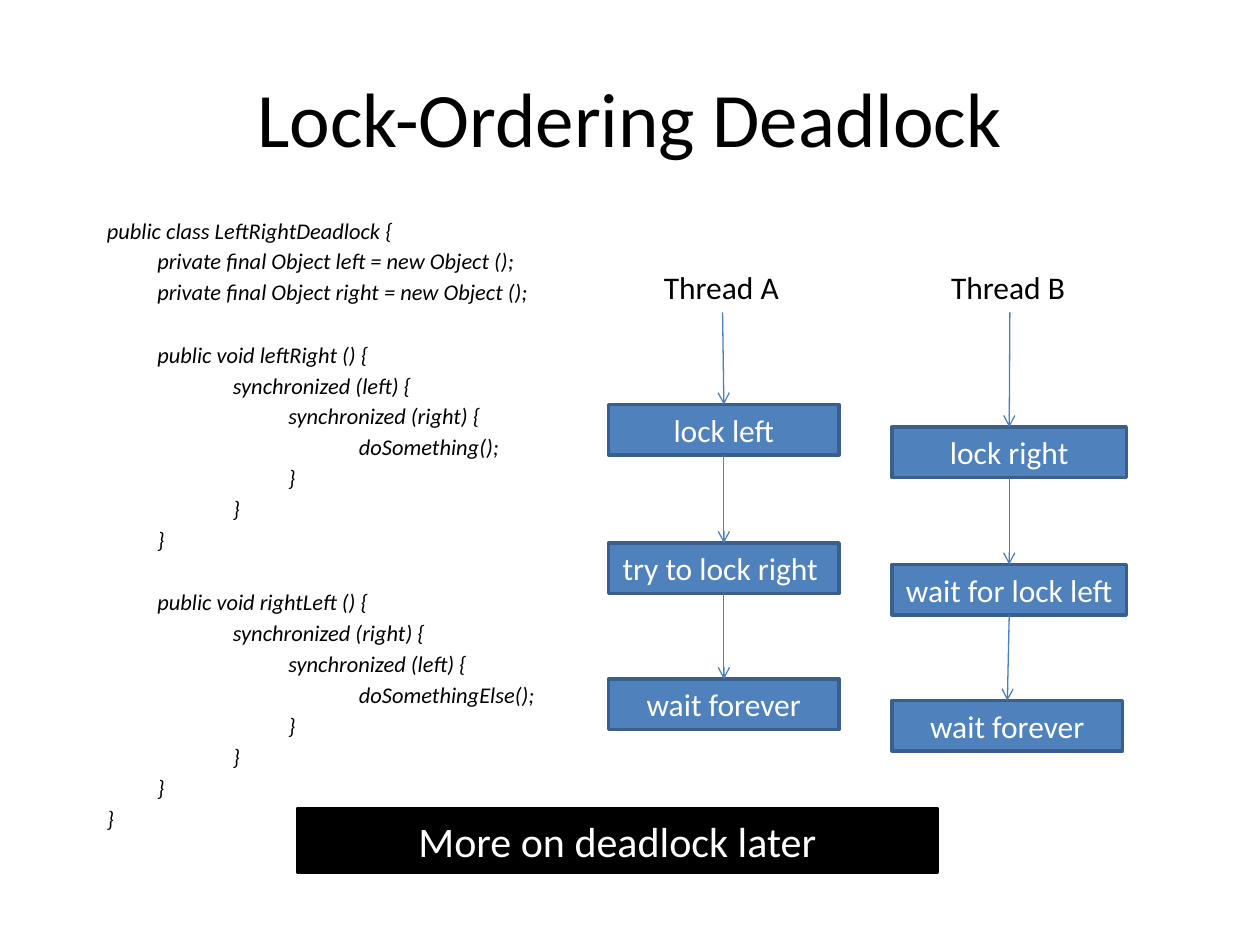
"""Build the Lock-Ordering Deadlock slide: code on the left, two thread flows on the right."""
import pptx
import pptx.dml.color
import pptx.enum.shapes
import pptx.enum.text
import pptx.oxml.ns
import pptx.util
from lxml import etree

Inches = pptx.util.Inches
Pt = pptx.util.Pt
RGBColor = pptx.dml.color.RGBColor
PP_ALIGN = pptx.enum.text.PP_ALIGN
MSO_ANCHOR = pptx.enum.text.MSO_ANCHOR
qn = pptx.oxml.ns.qn

BLACK = RGBColor(0x00, 0x00, 0x00)
WHITE = RGBColor(0xFF, 0xFF, 0xFF)
BLUE = RGBColor(0x4F, 0x81, 0xBD)
BORDER_BLUE = RGBColor(0x3A, 0x5F, 0x8C)
ARROW_BLUE = RGBColor(0x4B, 0x7E, 0xBC)
FONT = "Calibri"

TITLE = "Lock-Ordering Deadlock"
CLOSING = "More on deadlock later"


def method_lines(name, outer, inner, action):
    return [
        (1, f"public void {name} () {{"),
        (2, f"synchronized ({outer}) {{"),
        (3, f"synchronized ({inner}) {{"),
        (4, f"{action}();"),
        (3, "}"),
        (2, "}"),
        (1, "}"),
    ]


CODE = [
    (0, "public class LeftRightDeadlock {"),
    (1, "private final Object left = new Object ();"),
    (1, "private final Object right = new Object ();"),
    *method_lines("leftRight", "left", "right", "doSomething"),
    *method_lines("rightLeft", "right", "left", "doSomethingElse"),
    (0, "}"),
]
CODE_INDENTS = [0, 0.4, 1, 1.44, 2]
LINE_GAP = 2.3
METHOD_GAP = 20.2

THREADS = [
    ("Thread A", 5.17, 4.83, [
        ("lock left", 3.21, 1.83),
        ("try to lock right ", 4.31, 1.83),
        ("wait forever", 5.39, 1.83),
    ]),
    ("Thread B", 7.45, 7.08, [
        ("lock right", 3.39, 1.86),
        ("wait for lock left", 4.48, 1.86),
        ("wait forever", 5.56, 1.83),
    ]),
]
LABEL_TOP, LABEL_WIDTH, ROW_HEIGHT = 2.08, 1.13, 0.4


def add_text(paragraph, text, size, color, italic=False):
    run = paragraph.add_run()
    run.text = text
    run.font.name = FONT
    run.font.size = Pt(size)
    run.font.italic = italic
    run.font.color.rgb = color


def add_box(slide, text, left, top, width, height, size, fill, border):
    box = slide.shapes.add_shape(
        pptx.enum.shapes.MSO_SHAPE.RECTANGLE,
        Inches(left), Inches(top), Inches(width), Inches(height))
    box.shadow.inherit = False
    box.fill.solid()
    box.fill.fore_color.rgb = fill
    box.line.color.rgb = border
    box.line.width = Pt(2)
    box.text_frame.word_wrap = False
    box.text_frame.vertical_anchor = MSO_ANCHOR.MIDDLE
    paragraph = box.text_frame.paragraphs[0]
    paragraph.alignment = PP_ALIGN.CENTER
    add_text(paragraph, text, size, WHITE)
    return box


def add_arrow(slide, upper, lower):
    arrow = slide.shapes.add_connector(
        pptx.enum.shapes.MSO_CONNECTOR.STRAIGHT, 0, 0, 0, 0)
    arrow.begin_connect(upper, 2)
    arrow.end_connect(lower, 0)
    arrow.line.color.rgb = ARROW_BLUE
    arrow.line.width = Pt(0.75)
    etree.SubElement(arrow.line._get_or_add_ln(), qn("a:tailEnd"), type="arrow")
    etree.SubElement(arrow._element.spPr, qn("a:effectLst"))


def add_code(slide):
    code = slide.shapes.add_textbox(Inches(0.75), Inches(1.67), Inches(4.83), Inches(4.95))
    frame = code.text_frame
    frame.word_wrap = True
    for index, (level, text) in enumerate(CODE):
        paragraph = frame.add_paragraph() if index else frame.paragraphs[0]
        starts_method = text.startswith("public void")
        paragraph.space_before = Pt(METHOD_GAP if starts_method else LINE_GAP)
        indent = Inches(CODE_INDENTS[level])
        paragraph._p.get_or_add_pPr().set("marL", str(indent))
        add_text(paragraph, text, 12.8, BLACK, italic=True)


def add_thread(slide, name, label_left, box_left, steps):
    label = slide.shapes.add_textbox(
        Inches(label_left), Inches(LABEL_TOP), Inches(LABEL_WIDTH), Inches(ROW_HEIGHT))
    label.text_frame.word_wrap = False
    add_text(label.text_frame.paragraphs[0], name, 18, BLACK)
    previous = label
    for text, top, width in steps:
        step = add_box(slide, text, box_left, top, width, ROW_HEIGHT, 18, BLUE, BORDER_BLUE)
        add_arrow(slide, previous, step)
        previous = step


def main():
    deck = pptx.Presentation()
    deck.slide_width, deck.slide_height = Inches(10), Inches(7.5)
    slide = deck.slides.add_slide(deck.slide_layouts[5])

    title = slide.shapes.title
    title.left, title.top = Inches(0.5), Inches(0.3)
    title.width, title.height = Inches(9), Inches(1.25)
    title.text_frame.vertical_anchor = MSO_ANCHOR.MIDDLE
    heading = title.text_frame.paragraphs[0]
    heading.alignment = PP_ALIGN.CENTER
    add_text(heading, TITLE, 44, BLACK)

    add_code(slide)
    for thread in THREADS:
        add_thread(slide, *thread)
    add_box(slide, CLOSING, 2.36, 6.42, 5.08, 0.5, 24, BLACK, BLACK)
    deck.save("out.pptx")


if __name__ == "__main__":
    main()
